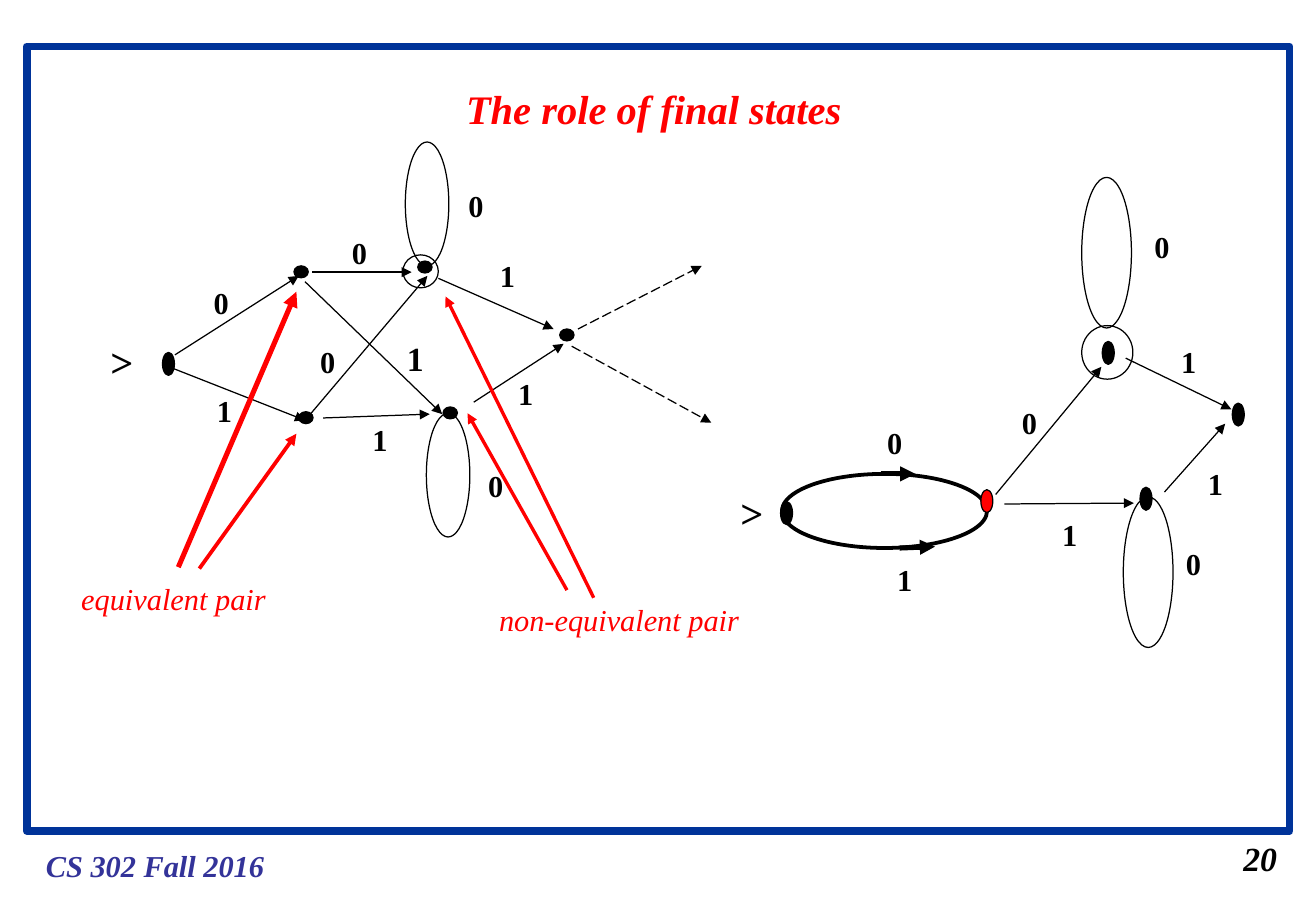
"""Build the slide on the role of final states in two automata."""
from dataclasses import dataclass

from lxml import etree
from pptx import Presentation
from pptx import util as u
from pptx.dml import color, line
from pptx.enum import dml, shapes, text
from pptx.oxml import ns


@dataclass(frozen=True)
class Theme:
    font: str = "Times New Roman"
    black: str = "000000"
    red: str = "FF0000"
    white: str = "FFFFFF"
    frame: str = "003399"
    footer: str = "333399"
    label: int = 18
    large: int = 20
    title: int = 24
    thin: float = 0.75
    bold: float = 2.25
    heavy: float = 3
    border: float = 4.5


THEME = Theme()
FLAT_DOT, TALL_DOT = (0.3, 0.25), (0.25, 0.48)
LEFT_LOOP, RIGHT_LOOP = (0.91, 2.59), (1.04, 3.15)

OUTLINES = [
    (LEFT_LOOP, [(8.92, 8.64), (8.48, 2.97)]),
    (RIGHT_LOOP, [(22.63, 3.71), (23.5, 10.39)]),
    ((0.74, 0.69), [(8.43, 5.33)]),
    ((1.07, 1.12), [(22.63, 6.81)]),
]
STATES = [
    (FLAT_DOT, [(6.15, 5.56), (6.25, 8.61), (8.74, 5.46), (11.71, 6.88), (9.27, 8.51)]),
    (TALL_DOT, [(3.4, 7.37), (16.33, 10.49), (23.06, 7.14), (23.85, 10.19), (25.78, 8.43)]),
]
TRANSITIONS = [
    (3.66, 7.42, 6.25, 5.77), (3.61, 7.7, 6.38, 8.79),
    (6.38, 5.89, 9.25, 8.66), (6.45, 8.71, 8.94, 5.77),
    (6.53, 5.69, 8.61, 5.69), (6.76, 8.74, 8.99, 8.66),
    (9.17, 5.82, 11.58, 6.88), (9.91, 8.41, 11.79, 7.19),
    (20.83, 10.34, 23.04, 7.67), (21.01, 10.54, 23.72, 10.52),
    (23.55, 7.49, 25.76, 8.56), (24.36, 10.29, 25.63, 8.86),
]
CONTINUATIONS = [(12.09, 6.88, 14.68, 5.56), (11.96, 7.24, 14.88, 8.84)]
MERGED_ARROWS = [(18.42, 9.91, 19.15, 9.91), (18.82, 11.46, 19.56, 11.43)]
POINTERS = [
    (3, (3.73, 11.86, 6.2, 6.1)), (2.25, (4.17, 11.89, 6.2, 9.07)),
    (2, (12.42, 12.5, 9.32, 6.2)), (2, (11.86, 12.34, 9.78, 8.64)),
]
SYMBOLS = {
    "0": [(4.22, 5.82), (7.11, 4.78), (6.45, 7.06), (9.96, 9.65), (9.55, 3.78),
          (18.31, 8.74), (21.13, 8.33), (23.9, 4.65), (24.56, 11.28)],
    "1": [(4.29, 8.08), (7.54, 8.69), (10.21, 5.26), (10.59, 7.72),
          (18.52, 11.61), (21.97, 10.67), (24.46, 7.06), (25.02, 9.6)],
}


def lengths(*values):
    return [u.Cm(value) for value in values]


def rgb(value):
    return color.RGBColor.from_string(value)


def style_line(stroke, ink, width):
    stroke.color.rgb = rgb(ink)
    stroke.width = u.Pt(width)


def add_outline(page, kind, place, ink=THEME.black, width=THEME.thin, fill=None):
    shape = page.shapes.add_shape(kind, *lengths(*place))
    shape.shadow.inherit = False
    if fill:
        shape.fill.solid()
        shape.fill.fore_color.rgb = rgb(fill)
    else:
        shape.fill.background()
    style_line(shape.line, ink, width)


def add_oval(page, corner, size, **style):
    add_outline(page, shapes.MSO_SHAPE.OVAL, (*corner, *size), **style)


def add_arrow(page, ends, ink=THEME.black, width=THEME.thin, dash=None):
    arrow = page.shapes.add_connector(shapes.MSO_CONNECTOR.STRAIGHT, *lengths(*ends))
    style_line(arrow.line, ink, width)
    if dash:
        arrow.line.dash_style = dash
    stroke = arrow.line._get_or_add_ln()
    etree.SubElement(stroke, ns.qn("a:tailEnd"), type="triangle")
    etree.SubElement(arrow._element.spPr, ns.qn("a:effectLst"))


def add_text(page, words, place, size=THEME.label, ink=THEME.black, wrap=False, **style):
    box = page.shapes.add_textbox(*lengths(*place))
    frame = box.text_frame
    frame.word_wrap = wrap
    frame.auto_size = text.MSO_AUTO_SIZE.SHAPE_TO_FIT_TEXT
    span = frame.paragraphs[0].add_run()
    span.text = words
    span.font.color.rgb = rgb(ink)
    for name, value in {"name": THEME.font, "size": u.Pt(size), **style}.items():
        setattr(span.font, name, value)
    return box


def add_automata(page):
    for size, corners in OUTLINES:
        for corner in corners:
            add_oval(page, corner, size)
    add_oval(page, (16.36, 9.91), (4.29, 1.55), width=THEME.bold)
    for size, corners in STATES:
        for corner in corners:
            add_oval(page, corner, size, fill=THEME.black)
    add_oval(page, (20.52, 10.24), TALL_DOT, fill=THEME.red)
    for ends in TRANSITIONS:
        add_arrow(page, ends)
    for ends in CONTINUATIONS:
        add_arrow(page, ends, dash=dml.MSO_LINE.LONG_DASH)
    for ends in MERGED_ARROWS:
        add_arrow(page, ends, width=THEME.heavy)


def add_labels(page):
    for symbol, corners in SYMBOLS.items():
        for corner in corners:
            add_text(page, symbol, (*corner, 0.81, 1.02), bold=True)
    add_text(page, "1", (8.26, 6.93, 0.86, 1.12), THEME.large, bold=True)
    for place in [(2.06, 6.93, 0.99, 1.27), (15.24, 10.08, 1.17, 1.27)]:
        add_text(page, ">", place, THEME.title, wrap=True, bold=True)


def add_pairs(page):
    for width, ends in POINTERS:
        add_arrow(page, ends, THEME.red, width)
    equivalent = add_text(page, "equivalent pair", (1.45, 12.01, 4.37, 1.02),
                          ink=THEME.red, italic=True)
    style_line(equivalent.line, THEME.white, THEME.thin)
    add_text(page, "non-equivalent pair", (10.19, 12.45, 5.54, 1.02),
             ink=THEME.red, italic=True)


def main():
    deck = Presentation()
    deck.slide_width, deck.slide_height = lengths(27.53, 19.05)
    page = deck.slides.add_slide(deck.slide_layouts[6])
    add_outline(page, shapes.MSO_SHAPE.RECTANGLE, (0.56, 0.97, 26.42, 16.41),
                THEME.frame, THEME.border)
    add_text(page, "CS 302 Fall 2016", (0.71, 17.6, 5.08, 1.02),
             ink=THEME.footer, bold=True, italic=True)
    add_text(page, "The role of final states", (9.5, 1.63, 8.36, 1.27),
             THEME.title, THEME.red, bold=True, italic=True)
    add_automata(page)
    add_labels(page)
    add_pairs(page)
    add_text(page, "20", (25.76, 17.4, 1.22, 1.12), THEME.large, bold=True, italic=True)
    deck.save("out.pptx")


if __name__ == "__main__":
    main()
